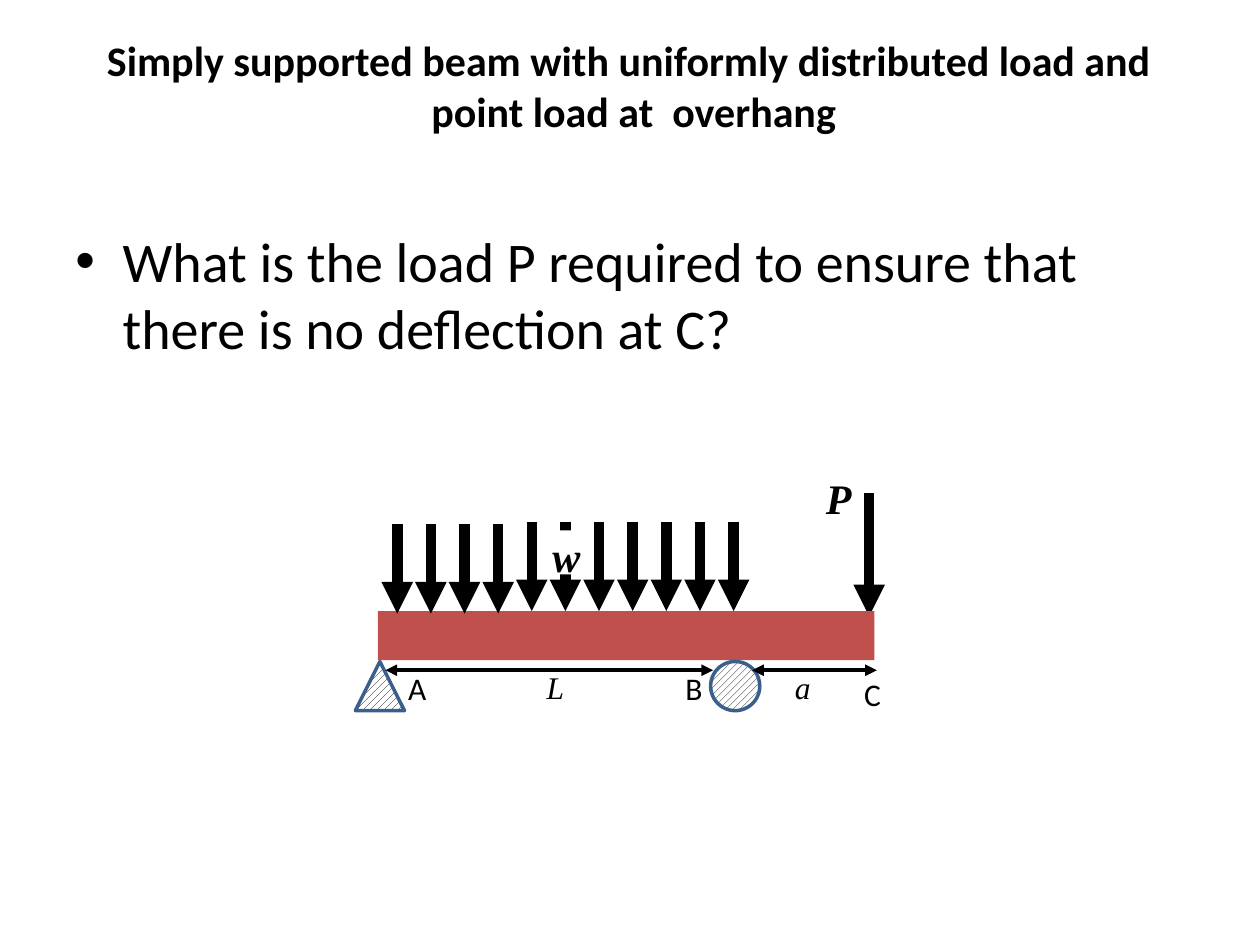
import pptx
import pptx.util
import pptx.dml.color
import pptx.enum.dml
import pptx.enum.shapes
import pptx.enum.text
import pptx.oxml
from dataclasses import dataclass
from pptx.util import Pt

Color = pptx.dml.color.RGBColor
Kind = pptx.enum.shapes.MSO_SHAPE
Anchor = pptx.enum.text.MSO_ANCHOR
Align = pptx.enum.text.PP_ALIGN


@dataclass(frozen=True)
class Theme:
    ink: Color = Color.from_string("000000")
    paper: Color = Color.from_string("FFFFFF")
    beam: Color = Color.from_string("C0504D")
    support: Color = Color.from_string("3A5F8C")
    sans: str = "Calibri"
    serif: str = "Times New Roman"
    title: int = 24
    body: int = 32
    load: int = 24
    label: int = 18
    load_line: float = 6
    dimension_line: float = 2.25
    support_line: float = 2


THEME = Theme()


def add_element(parent, tag, **attributes):
    child = pptx.oxml.parse_xml(
        f'<a:{tag} xmlns:a="http://schemas.openxmlformats.org/drawingml/2006/main"/>')
    for name, value in attributes.items():
        child.set(name, value)
    parent.append(child)


def add_text(page, box, text, size, font=THEME.sans, bold=False, italic=False):
    left, top, width, height = box
    shape = page.shapes.add_textbox(Pt(left), Pt(top), Pt(width), Pt(height))
    frame = shape.text_frame
    frame.word_wrap = True
    frame.text = text
    span = frame.paragraphs[0].runs[0]
    span.font.name = font
    span.font.size = Pt(size)
    span.font.bold = bold
    span.font.italic = italic
    span.font.color.rgb = THEME.ink
    return shape


def add_arrow(page, start, end, width, double=False):
    line = page.shapes.add_connector(
        pptx.enum.shapes.MSO_CONNECTOR.STRAIGHT,
        Pt(start[0]), Pt(start[1]), Pt(end[0]), Pt(end[1]))
    line.line.color.rgb = THEME.ink
    line.line.width = Pt(width)
    outline = line.line._get_or_add_ln()
    if double:
        add_element(outline, "headEnd", type="triangle")
    add_element(outline, "tailEnd", type="triangle")
    add_element(line._element.spPr, "effectLst")


def add_load_label(page, left, top, width, height, text):
    shape = add_text(page, (left, top, width, height), text, THEME.load,
                     THEME.serif, bold=True, italic=True)
    shape.fill.solid()
    shape.fill.fore_color.rgb = THEME.paper
    frame = shape.text_frame
    frame.margin_left = Pt(6)
    frame.margin_right = frame.margin_top = frame.margin_bottom = 0


def add_support(page, kind, center, top, size=28.1):
    shape = page.shapes.add_shape(
        kind, Pt(center - size / 2), Pt(top), Pt(size), Pt(size))
    shape.shadow.inherit = False
    shape.fill.patterned()
    shape.fill.pattern = pptx.enum.dml.MSO_PATTERN.WIDE_UPWARD_DIAGONAL
    shape.fill.fore_color.rgb = THEME.ink
    shape.fill.back_color.rgb = THEME.paper
    shape.line.color.rgb = THEME.support
    shape.line.width = Pt(THEME.support_line)


def add_title(page, box):
    shape = add_text(
        page, box,
        "Simply supported beam with uniformly distributed load and  point load at  overhang",
        THEME.title, bold=True)
    shape.text_frame.vertical_anchor = Anchor.MIDDLE
    shape.text_frame.paragraphs[0].alignment = Align.CENTER


def add_question(page, box):
    shape = add_text(
        page, box,
        "What is the load P required to ensure that there is no deflection at C?",
        THEME.body)
    settings = shape.text_frame.paragraphs[0]._p.get_or_add_pPr()
    settings.set("marL", str(Pt(27)))
    settings.set("indent", str(-Pt(27)))
    add_element(settings, "buFont", typeface="Arial")
    add_element(settings, "buChar", char="•")


def add_beam_diagram(page, box):
    """Draw loads, supports and dimensions around the beam, which fills the box."""
    left, top, width, height = box
    right, bottom = left + width, top + height

    # Point load at the free end
    add_arrow(page, (right - 3, top - 67.7), (right - 3, top + 2.9), THEME.load_line)
    add_load_label(page, right - 33.8, top - 79.2, 25.2, 28.8, "P")

    # Beam
    beam = page.shapes.add_shape(Kind.RECTANGLE, Pt(left), Pt(top), Pt(width), Pt(height))
    beam.shadow.inherit = False
    beam.fill.solid()
    beam.fill.fore_color.rgb = THEME.beam
    beam.line.fill.background()

    # Uniformly distributed load; the first four arrows sit slightly lower
    for index in range(11):
        x = left + 11 + 19.22 * index
        tip = top + (1.4 if index < 4 else 0)
        add_arrow(page, (x, tip - 51.1), (x, tip), THEME.load_line)
    add_load_label(page, left + 93.6, top - 46.1, 25.2, 25.2, "w")

    # Supports
    add_support(page, Kind.ISOSCELES_TRIANGLE, left + 1.1, bottom + 0.7)
    add_support(page, Kind.OVAL, left + 204.1, bottom + 0.7)

    # Span dimensions
    for start, end in ((4.3, 191.5), (213.8, 285.1)):
        add_arrow(page, (left + start, bottom + 5.7), (left + end, bottom + 5.7),
                  THEME.dimension_line, double=True)

    # Point and span names
    for text, x, y, font in (
        ("A", 10.1, 1.4, THEME.sans),
        ("B", 168.5, 1.4, THEME.sans),
        ("C", 270.7, 5, THEME.sans),
        ("L", 89.3, 0.7, THEME.serif),
        ("a", 231.1, 0.7, THEME.serif),
    ):
        add_text(page, (left + x, bottom + y, 28.1, 28.8), text, THEME.label,
                 font, italic=font == THEME.serif)


def main():
    deck = pptx.Presentation()
    deck.slide_width, deck.slide_height = Pt(720), Pt(540)
    page = deck.slides.add_slide(deck.slide_layouts[6])
    add_title(page, (36, 21.6, 652.3, 54))
    add_question(page, (36, 126, 648, 356.4))
    add_beam_diagram(page, (216, 349.2, 283.7, 28.1))
    deck.save("out.pptx")


if __name__ == "__main__":
    main()
